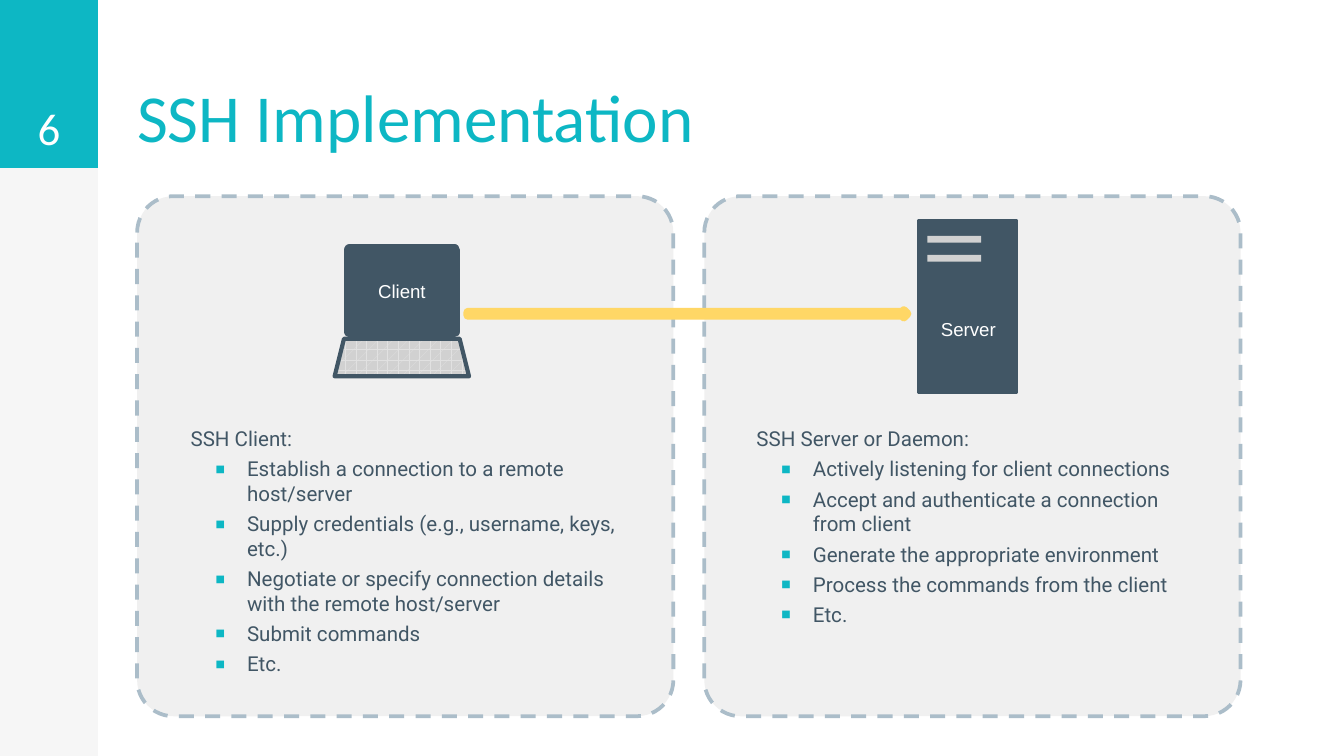
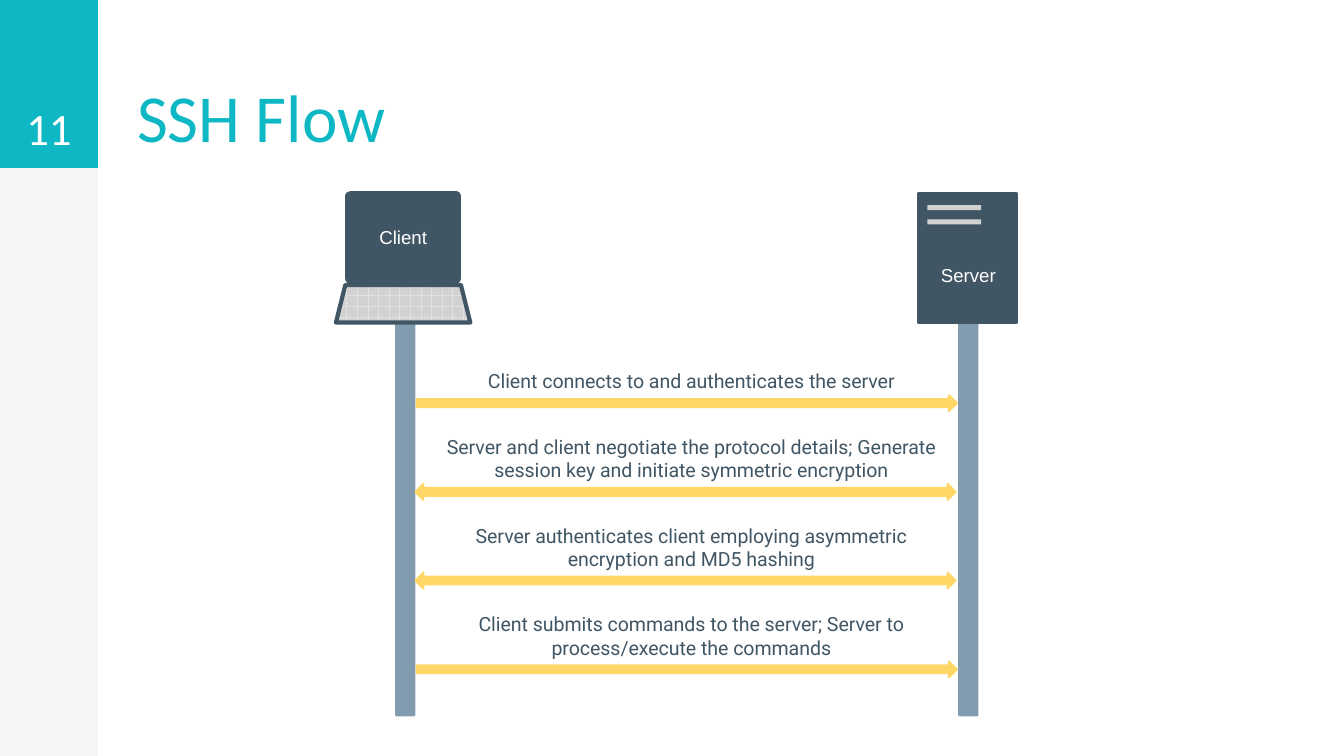
import pptx
import pptx.util
import pptx.dml.color
import pptx.enum.dml
import pptx.enum.shapes
import pptx.enum.text
from lxml import etree

Inches = pptx.util.Inches
Pt = pptx.util.Pt
RGBColor = pptx.dml.color.RGBColor
Shape = pptx.enum.shapes.MSO_SHAPE
Align = pptx.enum.text.PP_ALIGN
Anchor = pptx.enum.text.MSO_ANCHOR

TEAL = RGBColor(0x0D, 0xB7, 0xC4)
PALE = RGBColor(0xF6, 0xF6, 0xF6)
PANEL = RGBColor(0xF0, 0xF0, 0xF0)
DASH = RGBColor(0xAB, 0xBD, 0xC9)
SLATE = RGBColor(0x41, 0x56, 0x65)
RAIL = RGBColor(0x81, 0x9C, 0xAE)
GREY = RGBColor(0xD1, 0xD1, 0xD1)
LIGHT = RGBColor(0xE1, 0xE1, 0xE1)
GOLD = RGBColor(0xFF, 0xD7, 0x66)
WHITE = RGBColor(0xFF, 0xFF, 0xFF)

WIDTH = 10
HEIGHT = WIDTH * 9 / 16
BAND_W, HEAD_H = 0.73, 1.25
RADIUS = 0.07
TOP, TALL = 1.46, 3.87

CLIENT = ("SSH Client:", [
    "Establish a connection to a remote host/server",
    "Supply credentials (e.g., username, keys, etc.)",
    "Negotiate or specify connection details with the remote host/server",
    "Submit commands",
    "Etc.",
])
SERVER = ("SSH Server or Daemon:", [
    "Actively listening for client connections",
    "Accept and authenticate a connection from client",
    "Generate the appropriate environment",
    "Process the commands from the client",
    "Etc.",
])
STEPS = [
    ("Client connects to and authenticates the server", Shape.RIGHT_ARROW),
    ("Server and client negotiate the protocol details; "
     "Generate session key and initiate symmetric encryption",
     Shape.LEFT_RIGHT_ARROW),
    ("Server authenticates client employing asymmetric encryption "
     "and MD5 hashing", Shape.LEFT_RIGHT_ARROW),
    ("Client submits commands to the server; Server to process/execute "
     "the commands", Shape.RIGHT_ARROW),
]


def place(item, x, y, w, h):
    item.left, item.top = Inches(x), Inches(y)
    item.width, item.height = Inches(w), Inches(h)


def draw(shapes, kind, x, y, w, h, fill, line=None, weight=1):
    item = shapes.add_shape(kind, Inches(x), Inches(y), Inches(w), Inches(h))
    item.shadow.inherit = False
    item.fill.solid()
    item.fill.fore_color.rgb = fill
    if line is None:
        item.line.fill.background()
    else:
        item.line.color.rgb = line
        item.line.width = Pt(weight)
    return item


def style(par, size, face, color, align=Align.LEFT):
    par.alignment = align
    par.font.size = Pt(size)
    par.font.name = face
    par.font.color.rgb = color


def setup(frame, anchor, inset=0.1):
    frame.word_wrap = True
    frame.auto_size = pptx.enum.text.MSO_AUTO_SIZE.NONE
    frame.vertical_anchor = anchor
    frame.margin_left = frame.margin_right = Inches(inset)
    frame.margin_top = frame.margin_bottom = Inches(inset)


def add_text(slide, x, y, w, h, anchor):
    box = slide.shapes.add_textbox(Inches(x), Inches(y), Inches(w), Inches(h))
    setup(box.text_frame, anchor)
    return box.text_frame


def label(item, text):
    frame = item.text_frame
    setup(frame, Anchor.MIDDLE, 0)
    frame.text = text
    style(frame.paragraphs[0], 10, "Arial", WHITE, Align.CENTER)


def indent(par, left, first=0):
    props = par._p.get_or_add_pPr()
    props.set("marL", str(Inches(left)))
    props.set("indent", str(Inches(first)))
    return props


def bullet(par):
    """Give the paragraph a hanging teal square."""
    props = indent(par, 0.5, -0.24)
    space = "{http://schemas.openxmlformats.org/drawingml/2006/main}"
    tint = etree.SubElement(props, space + "buClr")
    etree.SubElement(tint, space + "srgbClr", val=str(TEAL))
    etree.SubElement(props, space + "buSzPct", val="150000")
    etree.SubElement(props, space + "buFont", typeface="Arial")
    etree.SubElement(props, space + "buChar", char="▪")


def start(deck, title, number):
    """Add a slide with its side band, number and title."""
    slide = deck.slides.add_slide(deck.slide_layouts[5])
    draw(slide.shapes, Shape.RECTANGLE, 0, 0, BAND_W, HEIGHT, PALE)
    draw(slide.shapes, Shape.RECTANGLE, 0, 0, BAND_W, HEAD_H, TEAL)
    head = slide.shapes.title
    place(head, 0.92, 0.01, 8.34, HEAD_H)
    setup(head.text_frame, Anchor.BOTTOM)
    head.text_frame.text = title
    style(head.text_frame.paragraphs[0], 36, "Calibri", TEAL)
    frame = add_text(slide, 0, 0, BAND_W, HEAD_H, Anchor.BOTTOM)
    frame.text = number
    style(frame.paragraphs[0], 24, "Calibri", WHITE, Align.CENTER)
    return slide


def laptop(slide, x, y):
    parts = slide.shapes.add_group_shape().shapes
    screen = draw(parts, Shape.RECTANGLE, x + 0.11, y, 0.78, 0.61,
                  SLATE, SLATE, 6)
    label(screen, "Client")
    keys = draw(parts, Shape.TRAPEZOID, x, y + 0.66, 1, 0.28,
                GREY, SLATE, 2.25)
    keys.fill.patterned()
    keys.fill.pattern = pptx.enum.dml.MSO_PATTERN.PLAID
    keys.fill.fore_color.rgb = LIGHT
    keys.fill.back_color.rgb = GREY


def tower(slide, x, y, h):
    parts = slide.shapes.add_group_shape().shapes
    draw(parts, Shape.RECTANGLE, x, y, 0.72, h, SLATE, SLATE, 2)
    front = draw(parts, Shape.RECTANGLE, x + 0.06, y + 0.3 * h, 0.61,
                 0.66 * h, SLATE, SLATE, 2)
    label(front, "Server")
    for share in (0.09, 0.2):
        draw(parts, Shape.RECTANGLE, x + 0.06, y + share * h, 0.4,
             0.04 * h, GREY)


def panel(slide, x):
    card = draw(slide.shapes, Shape.ROUNDED_RECTANGLE, x, TOP, 3.99, TALL,
                PANEL, DASH, 2)
    card.adjustments[0] = RADIUS
    card.line.dash_style = pptx.enum.dml.MSO_LINE.DASH


def duties(slide, x, head, items):
    frame = add_text(slide, x, 3.07, 3.54, 2.05, Anchor.TOP)
    frame.text = "\n".join([head, *items])
    for rank, par in enumerate(frame.paragraphs):
        if rank:
            bullet(par)
        else:
            indent(par, 0.08)
        par.space_before = Pt(3 if rank else 6)
        style(par, 11, "Roboto", SLATE)


def rail(slide, x):
    bar = draw(slide.shapes, Shape.ROUNDED_RECTANGLE, x, TOP, 0.15, TALL, RAIL)
    bar.adjustments[0] = RADIUS


def step(slide, x, y, text, kind):
    """Draw one message: its arrow, with the text above."""
    shift = 0.01 if kind == Shape.RIGHT_ARROW else 0
    draw(slide.shapes, kind, x + shift, y + 0.39, 4.02, 0.12, GOLD, GOLD)
    # Two-line messages sit higher above their arrow.
    lift = 0 if len(text) < 50 else 0.08
    frame = add_text(slide, x - 0.01, y - lift, 4.05, 0.56, Anchor.MIDDLE)
    frame.text = text
    par = frame.paragraphs[0]
    indent(par, 0.08)
    style(par, 10.5, "Roboto", SLATE, Align.CENTER)


def roles(deck):
    slide = start(deck, "SSH Implementation", "6")
    for x in (1.02, 5.24):
        panel(slide, x)
    tower(slide, 6.84, 1.64, 1.28)
    laptop(slide, 2.49, 1.86)
    draw(slide.shapes, Shape.RIGHT_ARROW, 3.48, 2.31, 3.27, 0.05,
         GOLD, GOLD, 4.5)
    duties(slide, 1.24, *CLIENT)
    duties(slide, 5.45, *SERVER)


def flow(deck):
    slide = start(deck, "SSH Flow", "11")
    for x in (2.94, 7.13):
        rail(slide, x)
    laptop(slide, 2.5, TOP)
    tower(slide, 6.84, 1.44, 0.96)
    for rank, (text, kind) in enumerate(STEPS):
        step(slide, 3.09, 2.55 + 0.66 * rank, text, kind)


def main():
    deck = pptx.Presentation()
    deck.slide_width, deck.slide_height = Inches(WIDTH), Inches(HEIGHT)
    roles(deck)
    flow(deck)
    deck.save("out.pptx")


if __name__ == "__main__":
    main()
